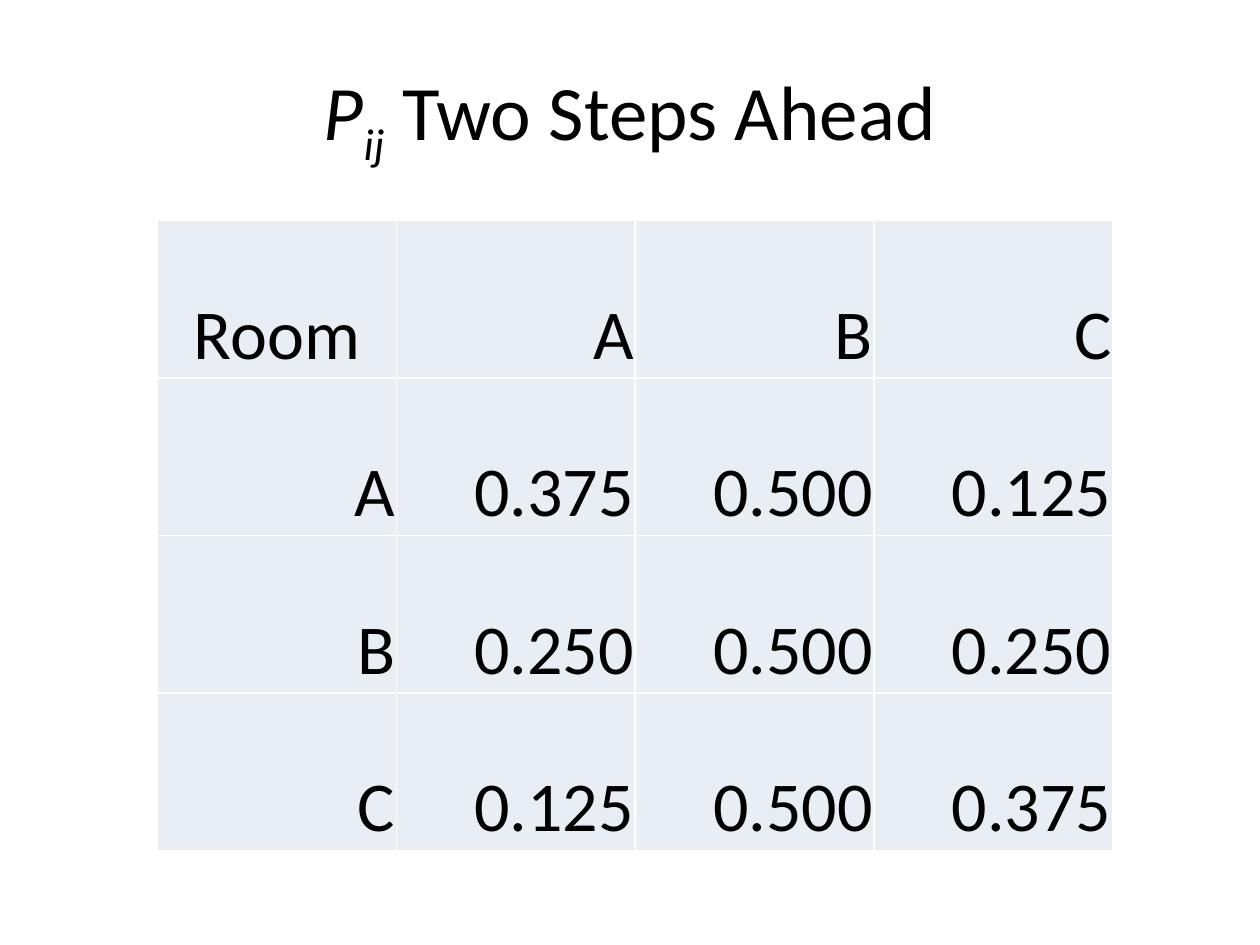
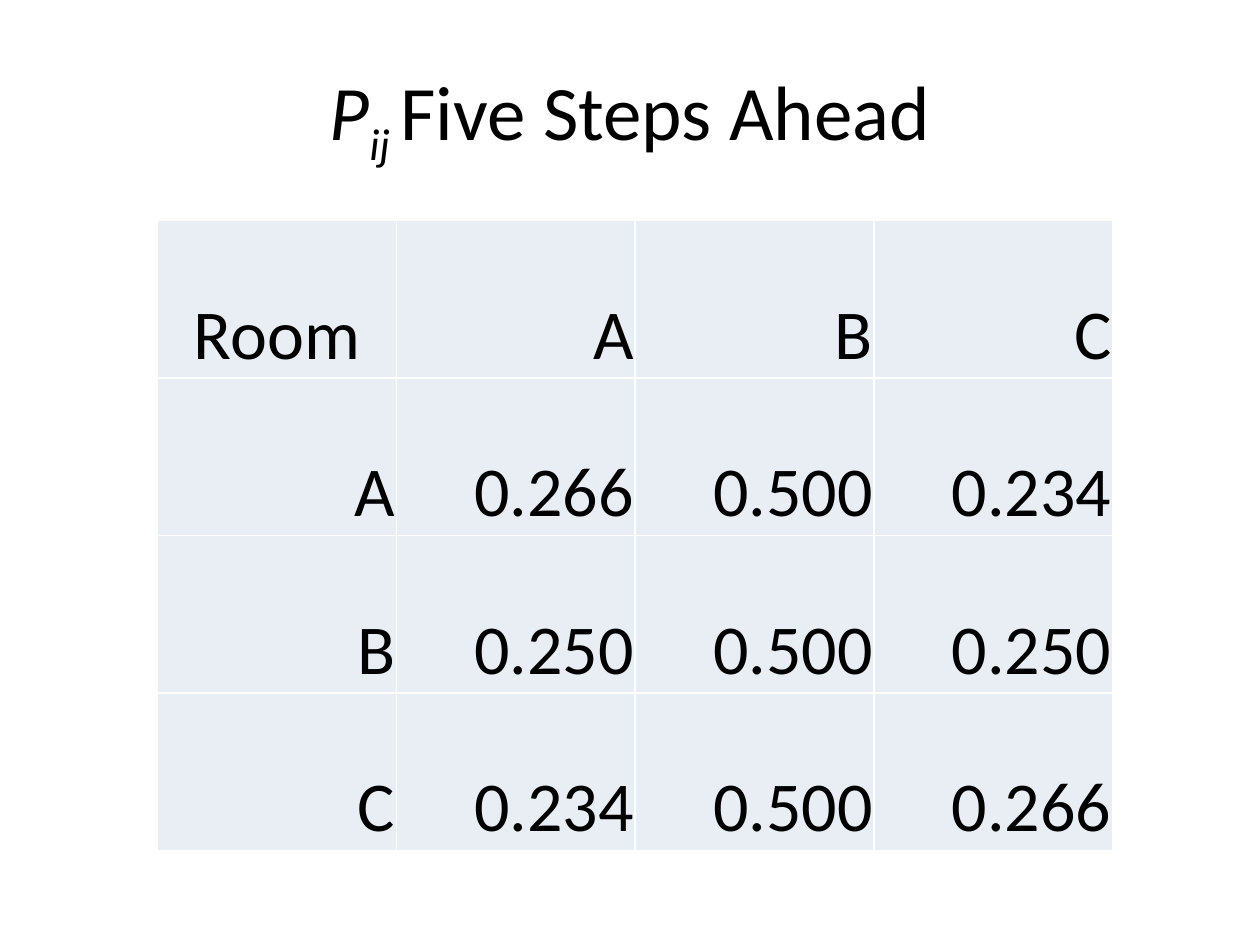
from lxml.etree import SubElement
from pptx import Presentation
from pptx.dml.color import RGBColor
from pptx.enum.text import MSO_ANCHOR, PP_ALIGN
from pptx.oxml.ns import qn
from pptx.util import Inches, Pt

COLOURS = {"text": "000000", "cell": "E9EDF4", "border": "FFFFFF"}
FONT = "Calibri"
ROOMS = ["A", "B", "C"]
TABLE_WIDTH, TABLE_HEIGHT = 7.58, 5
TWO_STEPS = [
    ["0.375", "0.500", "0.125"],
    ["0.250", "0.500", "0.250"],
    ["0.125", "0.500", "0.375"],
]
FIVE_STEPS = [
    ["0.266", "0.500", "0.234"],
    ["0.250", "0.500", "0.250"],
    ["0.234", "0.500", "0.266"],
]


def style_span(span, size, italic=False):
    span.font.name = FONT
    span.font.size = Pt(size)
    span.font.italic = italic
    span.font.color.rgb = RGBColor.from_string(COLOURS["text"])


def add_title(page, subscript, words):
    title = page.shapes.title
    title.left, title.top = Inches(0.5), Inches(0.3)
    title.width, title.height = Inches(9), Inches(1.25)
    title.text_frame.vertical_anchor = MSO_ANCHOR.MIDDLE
    paragraph = title.text_frame.paragraphs[0]
    paragraph.alignment = PP_ALIGN.CENTER
    for text, italic, baseline in (("P", True, 0), (subscript, True, -25000), (words, False, 0)):
        span = paragraph.add_run()
        span.text = text
        style_span(span, 44, italic)
        if baseline:
            span.font._element.set("baseline", str(baseline))


def add_borders(cell):
    properties = cell._tc.get_or_add_tcPr()
    for side in ("a:lnL", "a:lnR", "a:lnT", "a:lnB"):
        line = SubElement(properties, qn(side), w=str(Pt(1)))
        fill = SubElement(line, qn("a:solidFill"))
        SubElement(fill, qn("a:srgbClr"), val=COLOURS["border"])


def fill_cell(cell, text, alignment):
    add_borders(cell)
    cell.fill.solid()
    cell.fill.fore_color.rgb = RGBColor.from_string(COLOURS["cell"])
    cell.vertical_anchor = MSO_ANCHOR.BOTTOM
    cell.margin_left = cell.margin_right = cell.margin_top = Inches(0.01)
    cell.margin_bottom = 0
    cell.text_frame.text = text
    paragraph = cell.text_frame.paragraphs[0]
    paragraph.alignment = alignment
    style_span(paragraph.runs[0], 40)


def add_room_table(page, probabilities):
    rows = [["Room", *ROOMS]]
    rows += [[room, *values] for room, values in zip(ROOMS, probabilities)]
    frame = page.shapes.add_table(
        len(rows), len(rows[0]), Inches(1.25), Inches(1.75),
        Inches(TABLE_WIDTH), Inches(TABLE_HEIGHT),
    )
    table = frame.table
    table.first_row = False
    table.horz_banding = False
    for row_index, row in enumerate(rows):
        for column_index, text in enumerate(row):
            alignment = PP_ALIGN.CENTER if text == "Room" else PP_ALIGN.RIGHT
            fill_cell(table.cell(row_index, column_index), text, alignment)


def add_steps_page(deck, subscript, words, probabilities):
    page = deck.slides.add_slide(deck.slide_layouts[5])
    add_title(page, subscript, words)
    add_room_table(page, probabilities)


def main():
    deck = Presentation()
    deck.slide_width, deck.slide_height = Inches(10), Inches(7.5)
    add_steps_page(deck, "ij", " Two Steps Ahead", TWO_STEPS)
    add_steps_page(deck, "ij ", "Five Steps Ahead", FIVE_STEPS)
    deck.save("out.pptx")


if __name__ == "__main__":
    main()
